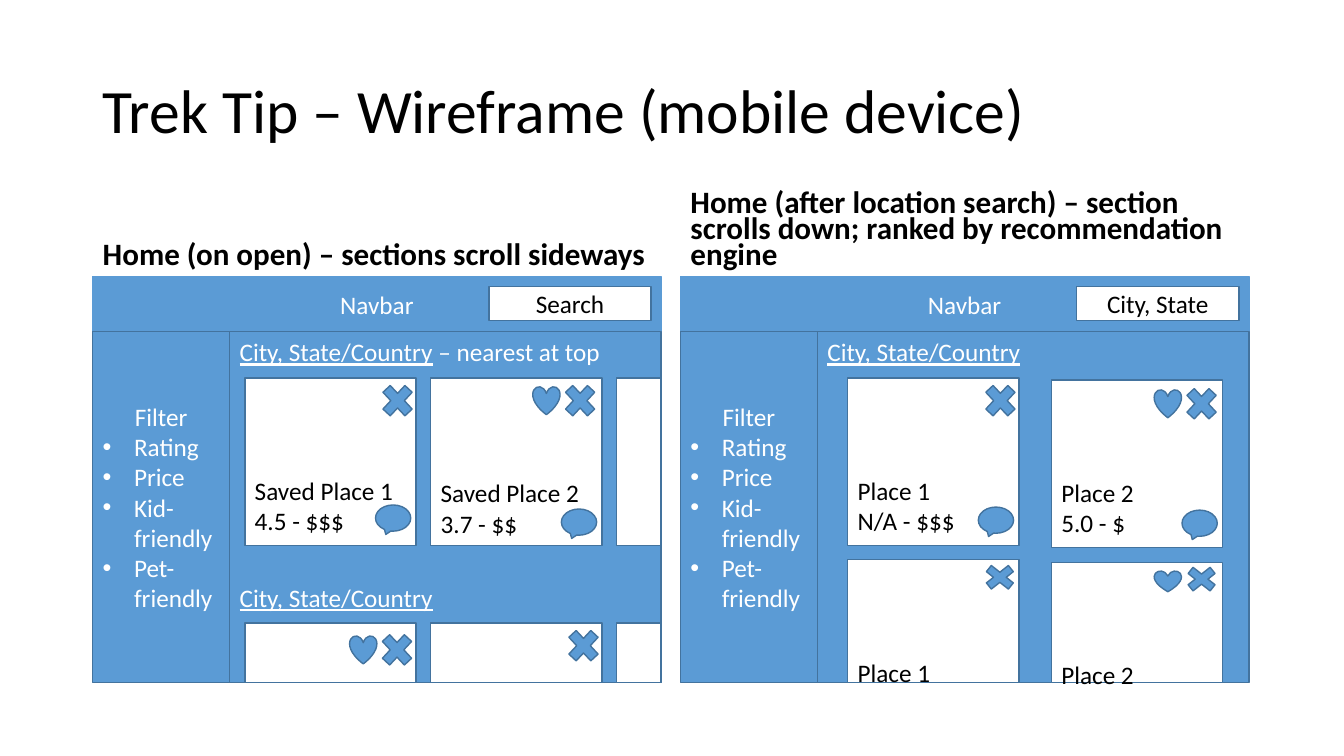
from pptx import Presentation
from pptx.dml.color import RGBColor
from pptx.enum.shapes import MSO_SHAPE as Kind
from pptx.enum.text import MSO_ANCHOR as Anchor, MSO_AUTO_SIZE as Fit, PP_ALIGN as Align
from pptx.oxml.ns import qn
from pptx.util import Pt
from lxml.etree import SubElement

BLUE, EDGE, WHITE, BLACK = "5B9BD5", "43739E", "FFFFFF", "000000"
FILTERS = ["Rating", "Price", "Kid-friendly", "Pet-friendly"]
PLACE = "City, State/Country"
WIDE, TOP, END = 406.1, 236.9, 487.5
CARD_W, CARD_H, ROW = 122.4, 119.5, 270


def paint(target, color):
    """Set a solid colour on a fill."""
    target.solid()
    target.fore_color.rgb = RGBColor.from_string(color)


class Board:
    def __init__(self, slide, font="Calibri", size=18):
        self.slide, self.font, self.size = slide, font, size

    def run(self, para, text, color, size=None, bold=False, under=False):
        run = para.add_run()
        run.text = text
        font = run.font
        font.name, font.size = self.font, Pt(size or self.size)
        font.bold, font.underline = bold, under
        paint(font.fill, color)

    def head(self, key, box, text, size, gap, bold, anchor):
        """Move and fill a title or body placeholder."""
        holder = next(p for p in self.slide.placeholders
                      if p.placeholder_format.idx == key)
        holder.left, holder.top, holder.width, holder.height = map(Pt, box)
        frame = holder.text_frame
        frame.auto_size, frame.vertical_anchor = Fit.NONE, anchor
        para = frame.paragraphs[0]
        para.alignment, para.line_spacing, para.space_before = Align.LEFT, gap, Pt(0)
        self.run(para, text, BLACK, size, bold)

    def shape(self, kind, x, y, w, h, fill=BLUE, line=EDGE):
        shape = self.slide.shapes.add_shape(kind, Pt(x), Pt(y), Pt(w), Pt(h))
        shape.shadow.inherit = False
        paint(shape.fill, fill)
        paint(shape.line.fill, line)
        shape.line.width = Pt(1)
        return shape

    def label(self, x, y, w, h, text, fill, line, color):
        """Draw a box with one centred line of text."""
        frame = self.shape(Kind.RECTANGLE, x, y, w, h, fill, line).text_frame
        frame.word_wrap, frame.vertical_anchor = True, Anchor.MIDDLE
        frame.paragraphs[0].alignment = Align.CENTER
        self.run(frame.paragraphs[0], text, color)

    def menu(self, x):
        """Draw the filter column."""
        box = self.shape(Kind.RECTANGLE, x, TOP, 97.9, END - TOP)
        frame = box.text_frame
        frame.word_wrap, frame.vertical_anchor = True, Anchor.MIDDLE
        frame.paragraphs[0].alignment = Align.CENTER
        self.run(frame.paragraphs[0], "Filter", WHITE)
        for item in FILTERS:
            para = frame.add_paragraph()
            para.alignment = Align.LEFT
            props = para._p.get_or_add_pPr()
            props.set("marL", str(Pt(22.5)))
            props.set("indent", str(-Pt(22.5)))
            SubElement(props, qn("a:buFont")).set("typeface", "Arial")
            SubElement(props, qn("a:buChar")).set("char", "•")
            self.run(para, item, WHITE)

    def area(self, x, note="", again=False):
        """Draw the results area with one or two section names."""
        box = self.shape(Kind.RECTANGLE, x + 97.9, TOP, WIDE - 97.9, END - TOP)
        frame = box.text_frame
        frame.word_wrap, frame.vertical_anchor = True, Anchor.TOP
        para = frame.paragraphs[0]
        para.alignment = Align.LEFT
        self.run(para, PLACE, WHITE, under=True)
        if note:
            self.run(para, note, WHITE)
        if again:
            para = frame.add_paragraph()
            para.alignment, para.space_before = Align.LEFT, Pt(153.8)
            self.run(para, PLACE, WHITE, under=True)

    def card(self, x, y, h, lines=(), cross=(94, 0), liked=False,
             chat=None, flat=1, inset=69.5):
        """Draw a place card; cross and chat are offsets from its corner."""
        box = self.shape(Kind.RECTANGLE, x, y, CARD_W, h, WHITE)
        frame = box.text_frame
        frame.word_wrap, frame.vertical_anchor = True, Anchor.TOP
        if lines:
            frame.margin_top, frame.margin_bottom = Pt(inset), Pt(0)
        for i, text in enumerate(lines):
            para = frame.add_paragraph() if i else frame.paragraphs[0]
            para.alignment = Align.LEFT
            self.run(para, text, BLACK)
        dx, dy = cross
        self.shape(Kind.MATH_MULTIPLY, x + dx, y + dy, 30.2, 32.4 * flat)
        if liked:
            self.shape(Kind.HEART, x + dx - 18.7, y + dy + 6, 19.4, 20.2 * flat)
        if chat:
            self.shape(Kind.OVAL_CALLOUT, x + 93.3, y + chat, 25.2, 18.7)

    def phone(self, x, search):
        """Draw the navbar, search field and filter column."""
        self.label(x, 197.3, WIDE, 39.6, "Navbar", BLUE, BLUE, WHITE)
        self.label(x + 283, 204.5, 115.9, 24.5, search, WHITE, EDGE, BLACK)
        self.menu(x)


def main():
    deck = Presentation()
    deck.slide_width, deck.slide_height = Pt(960), Pt(540)
    slide = deck.slides.add_slide(deck.slide_layouts[4])
    for holder in list(slide.placeholders):
        if holder.placeholder_format.idx in (2, 4):
            holder.element.getparent().remove(holder.element)
    board = Board(slide)
    left, right = 66.2, 486

    board.head(0, (left, 28.8, 828, 104.4), "Trek Tip – Wireframe (mobile device)",
               44, 0.9, False, Anchor.MIDDLE)
    heads = [(1, left, 406.1, "Home (on open) – sections scroll sideways"),
             (3, right, 408.2, "Home (after location search) – section scrolls down; "
                               "ranked by recommendation engine")]
    for key, x, w, text in heads:
        board.head(key, (x, 132.5, w, 64.8), text, 22.2, 0.7, True, Anchor.BOTTOM)

    board.phone(left, "Search")
    board.area(left, " – nearest at top", True)
    one, two, cut = (left + 108.7 + 132.8 * i for i in range(3))
    low = 445
    board.card(one, ROW, CARD_H, ["Saved Place 1", "4.5 - $$$"], chat=90.7)
    board.card(two, ROW, CARD_H, ["Saved Place 2", "3.7 - $$"], (91.6, 0), True,
               93.6, inset=71.3)
    board.card(one, low, END - low, cross=(93.6, 3), liked=True)
    board.card(two, low, END - low)
    for y, h in [(ROW, CARD_H), (low, END - low)]:
        board.shape(Kind.RECTANGLE, cut, y, left + WIDE - cut, h, WHITE)

    board.phone(right, "City, State")
    board.area(right)
    one, two = right + 119.5, right + 265
    board.card(one, ROW, CARD_H, ["Place 1", "N/A - $$$"], chat=92.2)
    board.card(two, 271.5, CARD_H, ["Place 2", "5.0 - $"], (92.2, 0.7), True, 92.9)
    board.card(one, 399.7, END - 399.7, ["Place 1"], (93.6, 0.7), flat=0.74)
    board.card(two, 401.7, END - 401.7, ["Place 2"], (92.2, 0), True, flat=0.74)
    deck.save("out.pptx")


if __name__ == "__main__":
    main()
